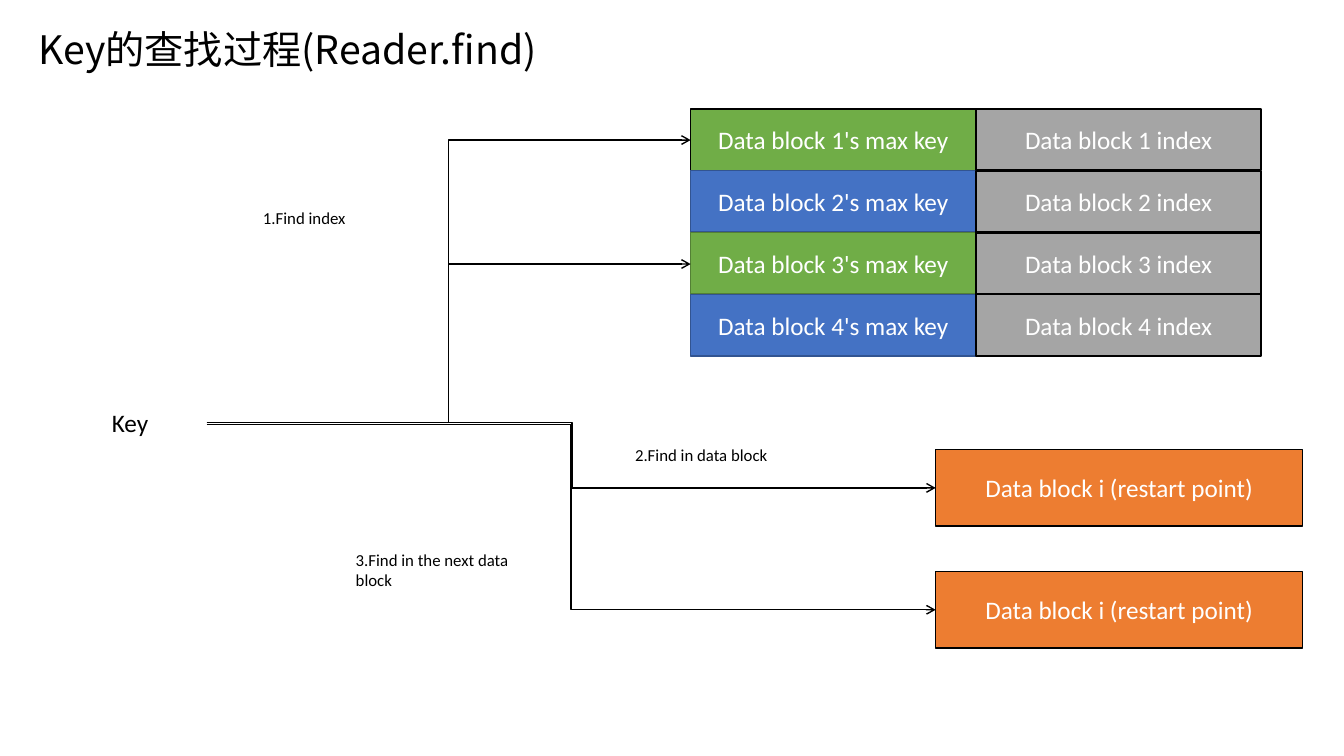
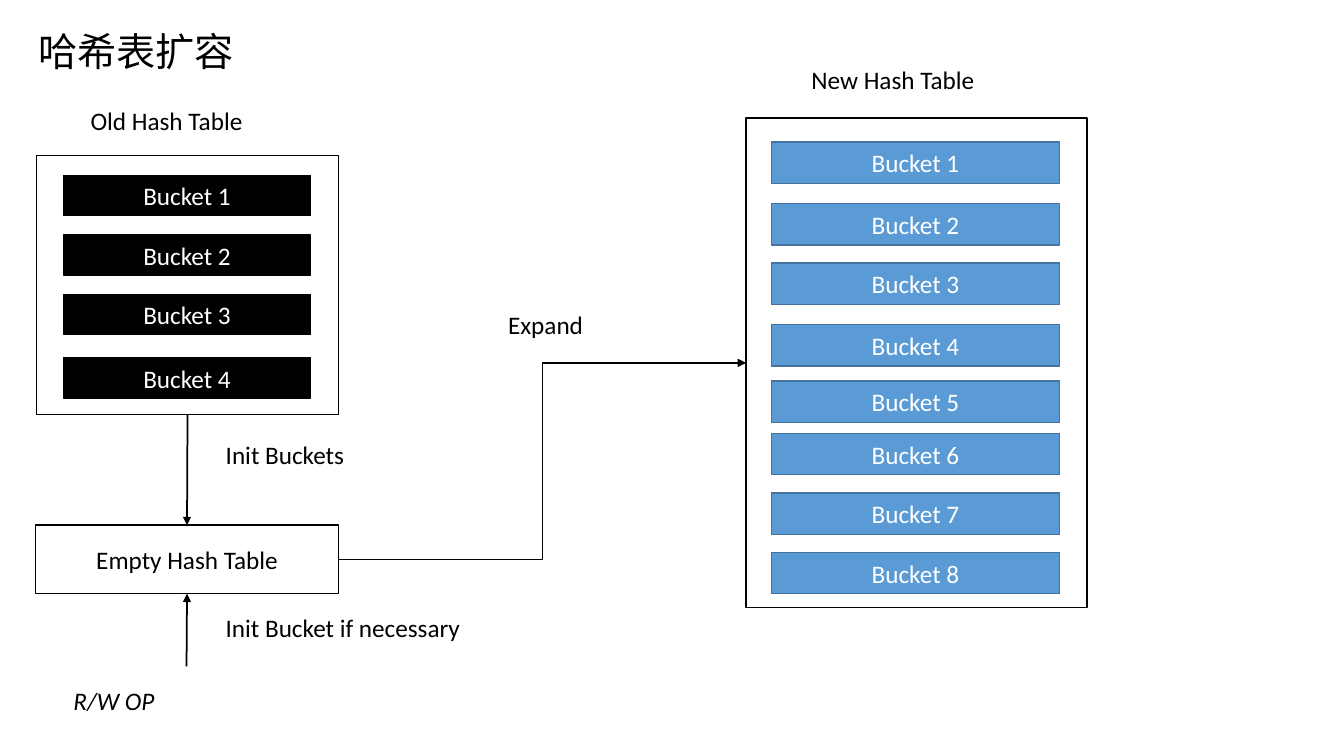
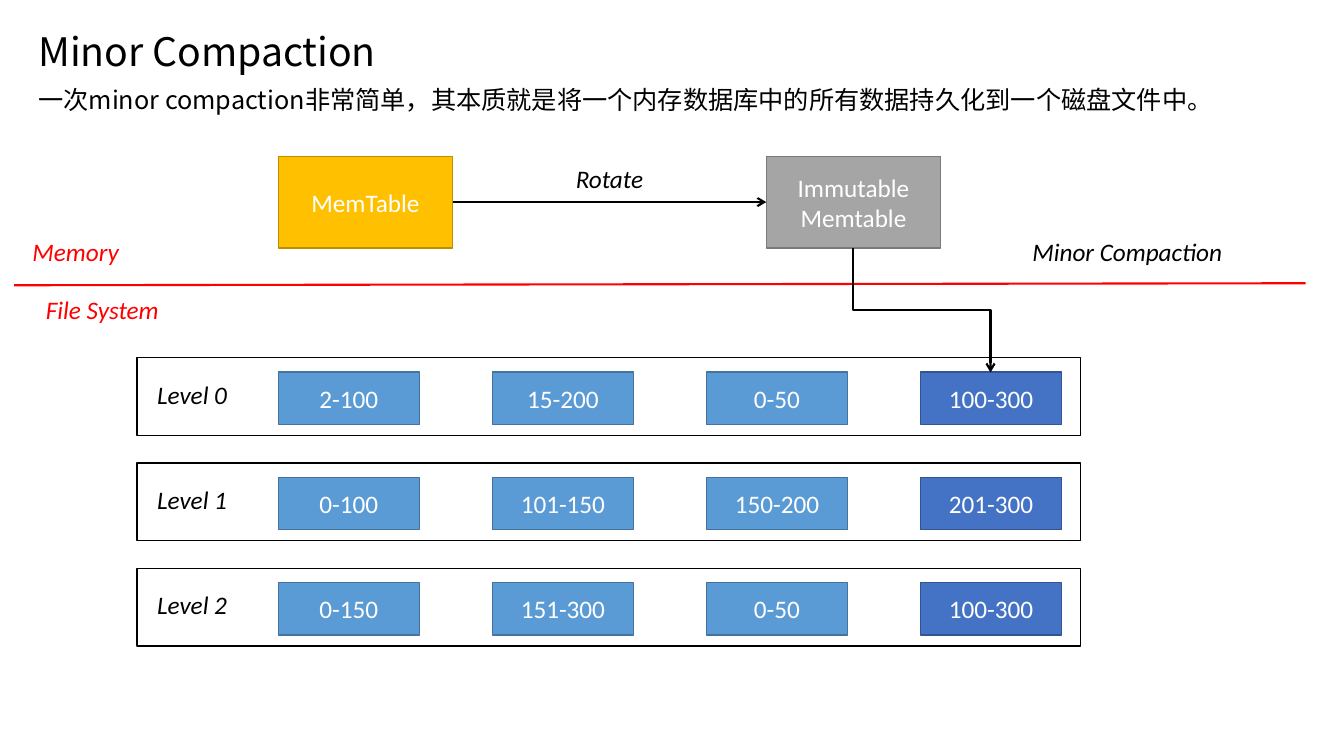
"""Build three slides on key lookup, hash table growth and minor compaction."""
from dataclasses import dataclass

from lxml import etree
from pptx import Presentation
from pptx.dml.color import RGBColor
from pptx.enum.shapes import MSO_CONNECTOR, MSO_SHAPE
from pptx.enum.text import MSO_ANCHOR, MSO_AUTO_SIZE, PP_ALIGN
from pptx.oxml.ns import qn
from pptx.util import Inches, Pt

PROCESS = MSO_SHAPE.FLOWCHART_PROCESS
STRAIGHT, ELBOW = MSO_CONNECTOR.STRAIGHT, MSO_CONNECTOR.ELBOW
TOP, MIDDLE = MSO_ANCHOR.TOP, MSO_ANCHOR.MIDDLE
LEFT, CENTER = PP_ALIGN.LEFT, PP_ALIGN.CENTER
NO_FIT = MSO_AUTO_SIZE.NONE
SIDE_TOP, SIDE_LEFT, SIDE_BOTTOM, SIDE_RIGHT = range(4)
TITLE_AND_CONTENT, TITLE_ONLY = 1, 5


@dataclass(frozen=True)
class Theme:
    black: str = "000000"
    white: str = "FFFFFF"
    red: str = "FF0000"
    green: str = "70AD47"
    dark_green: str = "538035"
    blue: str = "4472C4"
    dark_blue: str = "325491"
    sky: str = "5B9BD5"
    dark_sky: str = "43739E"
    gray: str = "A5A5A5"
    dark_gray: str = "7A7A7A"
    orange: str = "ED7D31"
    gold: str = "FFC000"
    dark_gold: str = "BD8E00"
    font: str = "Calibri"
    cjk_font: str = "Noto Sans CJK JP"
    title_size: int = 28
    text_size: int = 18
    note_size: int = 12


THEME = Theme()

KEY_TITLE = "Key的查找过程(Reader.find)"
KEY_STYLES = [
    (THEME.green, THEME.black),
    (THEME.blue, THEME.dark_blue),
    (THEME.green, THEME.dark_green),
    (THEME.blue, THEME.dark_blue),
]
KEY_ROUTES = [
    ((2.05, 4.19), (6.85, 1.39)),
    ((2.05, 4.19), (6.85, 2.62)),
    ((2.07, 4.19), (9.28, 4.84)),
    ((2.05, 4.21), (9.28, 6.05)),
]
KEY_NOTES = [
    ("1.Find index", (2.51, 2.01, 2.04, 0.3)),
    ("2.Find in data block", (6.2, 4.36, 2.04, 0.3)),
    ("3.Find in the next data block", (3.43, 5.4, 2.04, 0.5)),
]
RESTART_TEXT = "Data block i (restart point)"
RESTART_TOPS = (4.46, 5.67)

HASH_TITLE = "哈希表扩容"
OLD_TABLE = {
    "frame": (0.36, 1.54, 3, 2.57),
    "bucket": (0.63, 2.45, 0.4),
    "tops": (1.74, 2.33, 2.92, 3.55),
    "colors": (THEME.black, THEME.black),
}
NEW_TABLE = {
    "frame": (7.4, 1.17, 3.38, 4.86),
    "bucket": (7.65, 2.86, 0.41),
    "tops": (1.41, 2.02, 2.61, 3.22, 3.78, 4.3, 4.89, 5.48),
    "colors": (THEME.sky, THEME.dark_sky),
}
HASH_LABELS = [
    ("Old Hash Table", (0.8, 1, 2.06, 0.4), False),
    ("New Hash Table", (7.95, 0.59, 2.06, 0.4), False),
    ("R/W OP", (0.63, 6.75, 1.93, 0.4), True),
    ("Init Buckets", (2.14, 4.31, 1.89, 0.4), False),
    ("Expand", (4.94, 3.02, 1.89, 0.4), False),
    ("Init Bucket if necessary", (2.14, 6.03, 3.14, 0.4), False),
]

COMPACTION_TITLE = "Minor Compaction"
COMPACTION_SUMMARY = "一次minor compaction非常简单，其本质就是将一个内存数据库中的所有数据持久化到一个磁盘文件中。"
LEVELS = [
    ("Level 0", ("2-100", "15-200", "0-50", "100-300")),
    ("Level 1", ("0-100", "101-150", "150-200", "201-300")),
    ("Level 2", ("0-150", "151-300", "0-50", "100-300")),
]
COMPACTION_LABELS = [
    ("Minor Compaction", (9.49, 2.27, 3.38, 0.44), THEME.black),
    ("Rotate", (5.05, 1.55, 1.99, 0.44), THEME.black),
    ("Memory", (0.14, 2.27, 1.22, 0.44), THEME.red),
    ("File System", (0.14, 2.85, 1.75, 0.44), THEME.red),
]


def rgb(color):
    return RGBColor.from_string(color)


def inches(values):
    return [Inches(value) for value in values]


def spread(first, last, count):
    return [first + (last - first) * index / (count - 1) for index in range(count)]


def write(shape, text, align, anchor, color=THEME.black, **font_values):
    frame = shape.text_frame
    frame.text = text
    for name, value in {"word_wrap": True, "auto_size": NO_FIT, "vertical_anchor": anchor}.items():
        setattr(frame, name, value)
    values = {"name": THEME.font, "size": Pt(THEME.text_size)} | font_values
    for paragraph in frame.paragraphs:
        paragraph.alignment = align
        for run in paragraph.runs:
            for name, value in values.items():
                setattr(run.font, name, value)
            run.font.color.rgb = rgb(color)


def write_cjk(placeholder, text, place, size):
    for name, value in zip(("left", "top", "width", "height"), inches(place)):
        setattr(placeholder, name, value)
    write(placeholder, text, LEFT, TOP, name=THEME.cjk_font, size=Pt(size))
    paragraph = placeholder.text_frame.paragraphs[0]
    paragraph.space_before = Pt(0)
    properties = paragraph.runs[0].font._element
    etree.SubElement(properties, qn("a:ea")).set("typeface", THEME.cjk_font)


def remove_bullet(paragraph):
    properties = paragraph._p.get_or_add_pPr()
    for name in ("marL", "indent"):
        properties.set(name, "0")
    etree.SubElement(properties, qn("a:buNone"))


def add_slide(presentation, title, top=0.22, layout=TITLE_ONLY):
    slide = presentation.slides.add_slide(presentation.slide_layouts[layout])
    write_cjk(slide.shapes.title, title, (0.28, top, 5.55, 0.57), THEME.title_size)
    return slide


def add_box(shapes, place, text="", fill=None, line=THEME.black, width=1, color=THEME.white, **font_values):
    box = shapes.add_shape(PROCESS, *inches(place))
    box.shadow.inherit = False
    if fill:
        box.fill.solid()
        box.fill.fore_color.rgb = rgb(fill)
    else:
        box.fill.background()
    box.line.color.rgb = rgb(line)
    box.line.width = Pt(width)
    if text:
        write(box, text, CENTER, MIDDLE, color, **font_values)
    return box


def add_label(shapes, text, place, **font_values):
    write(shapes.add_textbox(*inches(place)), text, LEFT, TOP, **font_values)


def add_line(shapes, start, end, kind=STRAIGHT, width=1.0, arrow=None, color=THEME.black):
    connector = shapes.add_connector(kind, *inches(start + end))
    connector.line.color.rgb = rgb(color)
    connector.line.width = Pt(width)
    if arrow:
        etree.SubElement(connector.line._get_or_add_ln(), qn("a:tailEnd")).set("type", arrow)
    etree.SubElement(connector._element.spPr, qn("a:effectLst"))
    return connector


def build_key_lookup(presentation):
    shapes = add_slide(presentation, KEY_TITLE, top=0.2).shapes
    left, width, height = 6.85, 2.83, 0.61
    row_tops = spread(1.08, 2.92, len(KEY_STYLES))
    for number, (row_top, (fill, line)) in enumerate(zip(row_tops, KEY_STYLES), 1):
        block = f"Data block {number}"
        add_box(shapes, (left, row_top, width, height), f"{block}'s max key", fill, line)
        add_box(shapes, (left + width, row_top, width, height), f"{block} index", THEME.gray, width=1.5)
    add_box(shapes, (0.52, 3.77, 1.54, 0.84), "Key", THEME.white, THEME.white, color=THEME.black)
    for restart_top in RESTART_TOPS:
        add_box(shapes, (9.28, restart_top, 3.64, 0.76), RESTART_TEXT, THEME.orange)
    for start, end in KEY_ROUTES:
        add_line(shapes, start, end, ELBOW, arrow="arrow")
    for text, place in KEY_NOTES:
        add_label(shapes, text, place, size=Pt(THEME.note_size))


def add_hash_table(shapes, table):
    group = shapes.add_group_shape().shapes
    left, width, height = table["bucket"]
    for number, top in enumerate(table["tops"], 1):
        add_box(group, (left, top, width, height), f"Bucket {number}", *table["colors"])
    return add_box(group, table["frame"])


def build_hash_growth(presentation):
    shapes = add_slide(presentation, HASH_TITLE).shapes
    old_frame = add_hash_table(shapes, OLD_TABLE)
    empty_table = add_box(shapes, (0.35, 5.21, 3.01, 0.68), "Empty Hash Table", color=THEME.black)
    add_hash_table(shapes, NEW_TABLE)
    arrow = {"width": 1.25, "arrow": "triangle"}
    init_arrow = add_line(shapes, (1.86, 4.11), (1.86, 5.21), **arrow)
    init_arrow.begin_connect(old_frame, SIDE_BOTTOM)
    init_arrow.end_connect(empty_table, SIDE_TOP)
    access_arrow = add_line(shapes, (1.85, 6.61), (1.86, 5.89), **arrow)
    access_arrow.end_connect(empty_table, SIDE_BOTTOM)
    add_line(shapes, (3.36, 5.55), (7.4, 3.6), ELBOW, **arrow)
    for text, place, italic in HASH_LABELS:
        add_label(shapes, text, place, italic=italic)


def add_level(shapes, top, name, ranges):
    group = shapes.add_group_shape().shapes
    add_box(group, (1.36, top, 9.36, 0.77), fill=THEME.white)
    styles = [(THEME.sky, THEME.dark_sky)] * (len(ranges) - 1) + [(THEME.blue, THEME.dark_blue)]
    for left, key_range, colors in zip(spread(2.76, 9.13, len(ranges)), ranges, styles):
        add_box(group, (left, top + 0.14, 1.4, 0.52), key_range, *colors)
    add_label(group, name, (1.46, top + 0.16, 1.14, 0.4), italic=True)


def build_compaction(presentation):
    slide = add_slide(presentation, COMPACTION_TITLE, layout=TITLE_AND_CONTENT)
    shapes = slide.shapes
    summary = slide.placeholders[1]
    write_cjk(summary, COMPACTION_SUMMARY, (0.28, 0.79, 12.41, 0.4), THEME.text_size)
    remove_bullet(summary.text_frame.paragraphs[0])
    memtable = add_box(shapes, (2.76, 1.55, 1.73, 0.91), "MemTable", THEME.gold, THEME.dark_gold)
    immutable = add_box(shapes, (7.6, 1.55, 1.73, 0.91), "Immutable\nMemtable", THEME.gray, THEME.dark_gray)
    for top, (name, ranges) in zip(spread(3.55, 5.64, len(LEVELS)), LEVELS):
        add_level(shapes, top, name, ranges)
    add_line(shapes, (0.14, 2.83), (12.95, 2.81), width=1.5, color=THEME.red)
    flush = add_line(shapes, (8.53, 3.76), (9.76, 2.4), ELBOW, 1.5, "arrow")
    flush._element.spPr.find(qn("a:xfrm")).set("rot", str(90 * 60000))
    rotate = add_line(shapes, (4.49, 2), (7.6, 2), width=1.5, arrow="arrow")
    rotate.begin_connect(memtable, SIDE_RIGHT)
    rotate.end_connect(immutable, SIDE_LEFT)
    for text, place, color in COMPACTION_LABELS:
        add_box(shapes, place, text, THEME.white, THEME.white, color=color, italic=True)


def main():
    presentation = Presentation()
    presentation.slide_width = Inches(13.33)
    presentation.slide_height = Inches(7.5)
    build_key_lookup(presentation)
    build_hash_growth(presentation)
    build_compaction(presentation)
    presentation.save("out.pptx")


if __name__ == "__main__":
    main()
